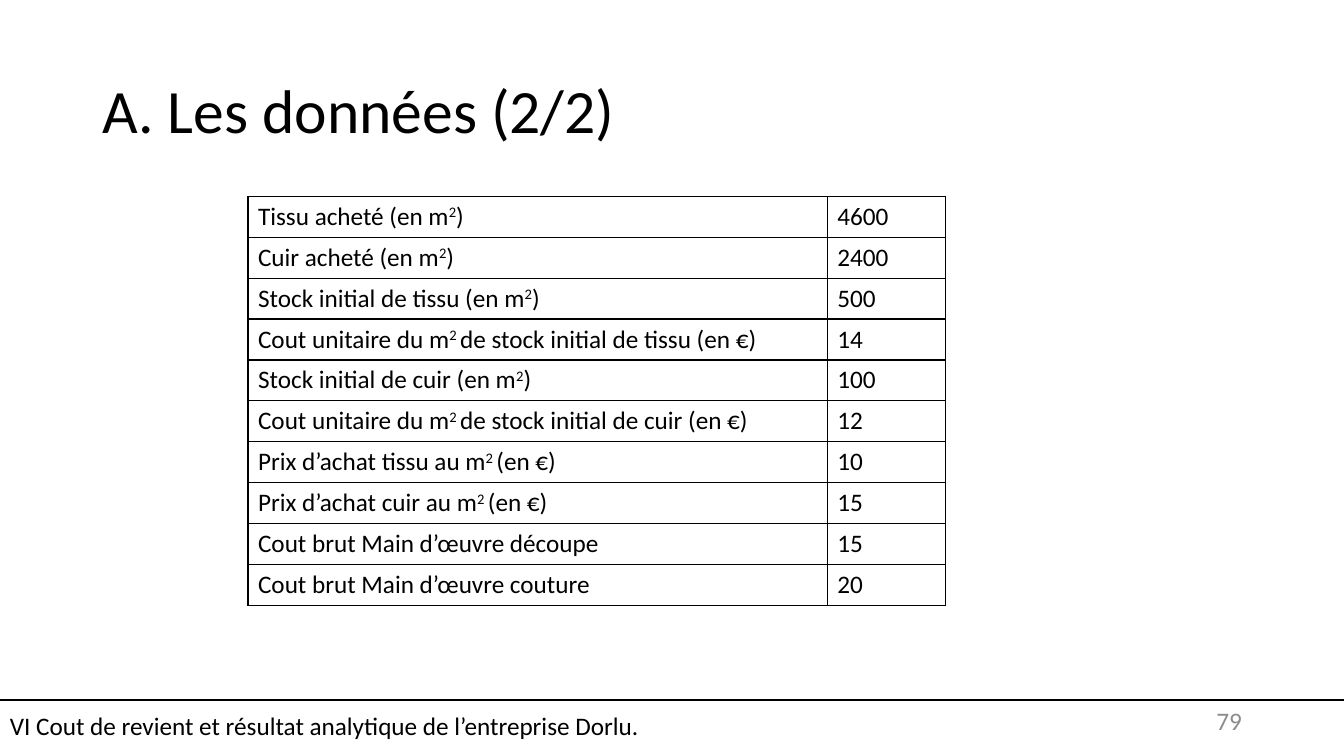
from lxml import etree
from pptx import Presentation
from pptx.dml.color import RGBColor
from pptx.enum import shapes, text
from pptx.oxml import ns
from pptx.util import Cm, Pt

FONT = "Calibri"
COLORS = {"text": "000000", "line": "000000", "frame": "FFFFFF", "number": "8C8C8C"}

# "²" marks the place of the superscript 2
DATA = [
    ("Tissu acheté (en m²)", "4600"),
    ("Cuir acheté (en m²)", "2400"),
    ("Stock initial de tissu (en m²)", "500"),
    ("Cout unitaire du m² de stock initial de tissu (en €)", "14"),
    ("Stock initial de cuir (en m²)", "100"),
    ("Cout unitaire du m² de stock initial de cuir (en €)", "12"),
    ("Prix d’achat tissu au m² (en €)", "10"),
    ("Prix d’achat cuir au m² (en €)", "15"),
    ("Cout brut Main d’œuvre découpe", "15"),
    ("Cout brut Main d’œuvre couture", "20"),
]
COLUMN_WIDTHS = (14.6, 2.97)
ROW_HEIGHT = 1.03


def color(name):
    return RGBColor.from_string(COLORS[name])


def style(paragraph, size=18, color_name="text", align=text.PP_ALIGN.LEFT):
    paragraph.alignment = align
    paragraph.font.name = FONT
    paragraph.font.size = Pt(size)
    paragraph.font.color.rgb = color(color_name)


def write_label(paragraph, label):
    before, square, after = label.partition("²")
    paragraph.add_run().text = before
    if square:
        exponent = paragraph.add_run()
        exponent.text = "2 " if after.startswith(" ") else "2"
        exponent.font._element.set("baseline", "30000")
        paragraph.add_run().text = after.lstrip()


def add_borders(cell):
    properties = cell._tc.get_or_add_tcPr()
    for side in ("lnL", "lnR", "lnT", "lnB"):
        border = etree.SubElement(properties, ns.qn(f"a:{side}"), w=str(Pt(1)))
        fill = etree.SubElement(border, ns.qn("a:solidFill"))
        etree.SubElement(fill, ns.qn("a:srgbClr"), val=COLORS["line"])


def add_title(slide, title_text):
    title = slide.shapes.title
    title.left, title.top, title.width, title.height = Cm(2.33), Cm(1.02), Cm(29.21), Cm(3.68)
    title.text_frame.text = title_text
    title.text_frame.vertical_anchor = text.MSO_ANCHOR.MIDDLE
    paragraph = title.text_frame.paragraphs[0]
    paragraph.line_spacing = 0.9
    style(paragraph, 44)


def add_data_table(slide):
    frame = slide.shapes.add_table(len(DATA), 2, Cm(6.25), Cm(4.95),
                                   Cm(sum(COLUMN_WIDTHS)), Cm(ROW_HEIGHT * len(DATA)))
    table = frame.table
    table.first_row = table.horz_banding = False
    for column, width in zip(table.columns, COLUMN_WIDTHS):
        column.width = Cm(width)
    for row, values in zip(table.rows, DATA):
        row.height = Cm(ROW_HEIGHT)
        for cell, value in zip(row.cells, values):
            add_borders(cell)
            cell.fill.background()
            paragraph = cell.text_frame.paragraphs[0]
            write_label(paragraph, value)
            style(paragraph)


def add_footer_line(slide, top):
    line = slide.shapes.add_connector(shapes.MSO_CONNECTOR.STRAIGHT, 0, top, Cm(33.87), top)
    line.line.color.rgb = color("line")
    line.line.width = Pt(1.5)
    etree.SubElement(line._element.spPr, ns.qn("a:effectLst"))


def add_footer(slide, footer_text):
    footer = slide.shapes.add_shape(shapes.MSO_SHAPE.RECTANGLE, 0, Cm(17.53), Cm(33.87), Cm(1.52))
    footer.shadow.inherit = False
    footer.fill.background()
    footer.line.color.rgb = color("frame")
    footer.line.width = Pt(1)
    footer.text_frame.text = footer_text
    footer.text_frame.vertical_anchor = text.MSO_ANCHOR.MIDDLE
    style(footer.text_frame.paragraphs[0])


def add_page_number(slide, number):
    box = slide.shapes.add_textbox(Cm(23.93), Cm(17.65), Cm(7.62), Cm(1.02))
    box.text_frame.word_wrap = True
    box.text_frame.vertical_anchor = text.MSO_ANCHOR.MIDDLE
    box.text_frame.text = number
    style(box.text_frame.paragraphs[0], 18, "number", text.PP_ALIGN.RIGHT)


def main():
    presentation = Presentation()
    presentation.slide_width, presentation.slide_height = Cm(33.87), Cm(19.05)
    slide = presentation.slides.add_slide(presentation.slide_layouts[5])

    # Title and data
    add_title(slide, "A. Les données (2/2)")
    add_data_table(slide)

    # Footer, with its line on top of the frame
    add_footer(slide, "VI Cout de revient et résultat analytique de l’entreprise Dorlu.")
    add_footer_line(slide, Cm(17.65))
    add_page_number(slide, "79")

    presentation.save("out.pptx")


if __name__ == "__main__":
    main()
